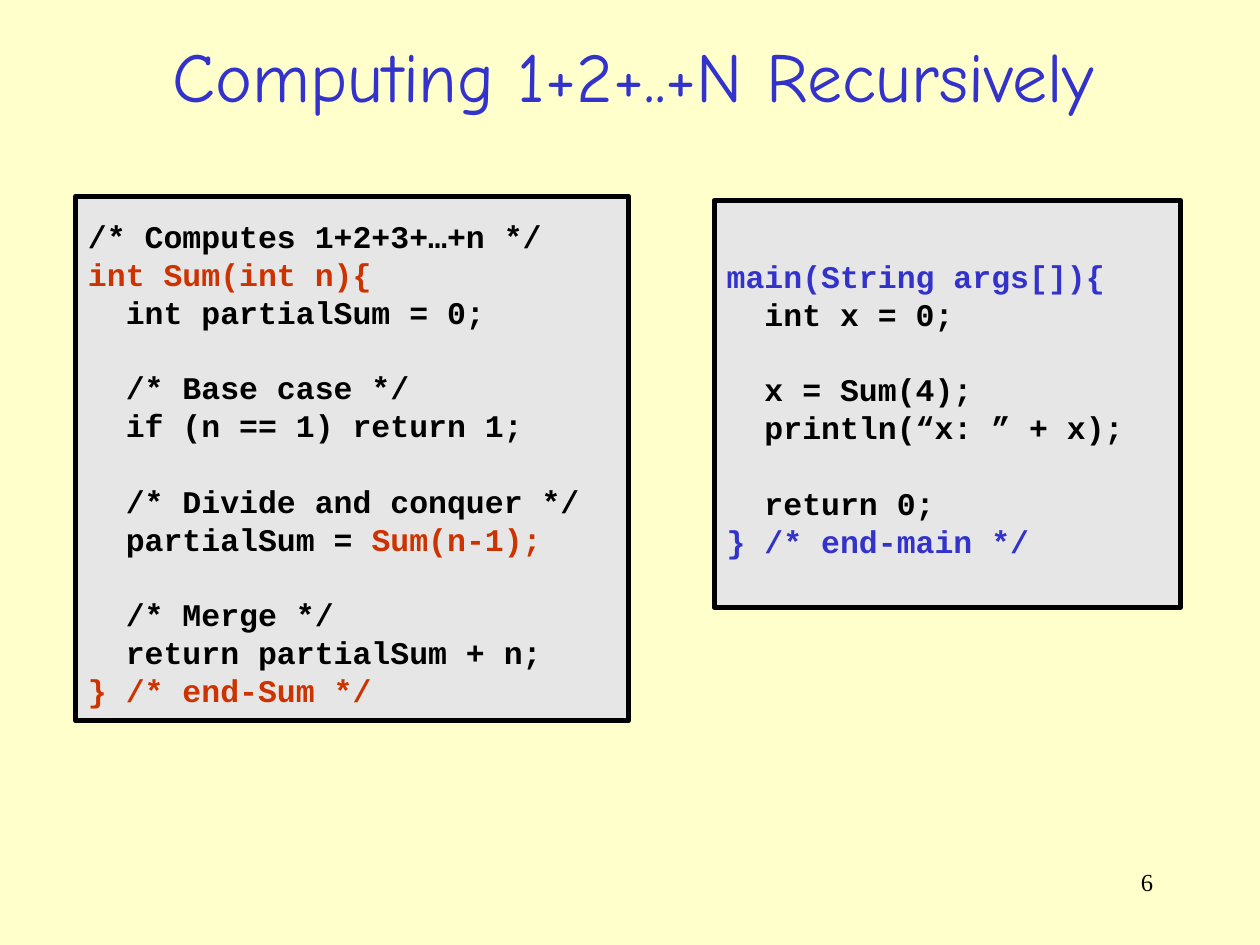
from pptx import Presentation
from pptx import util as u
from pptx.dml.color import RGBColor
from pptx.enum import shapes, text

COLORS = {
    "page": "FFFFCC",
    "panel": "E6E6E6",
    "black": "000000",
    "blue": "3333CC",
    "red": "CC3300",
}
LINE_HEIGHT = 21.6

# Each code line is a list of (words, colour) spans; an empty list is a blank line.
SUM_CODE = [
    [("/* Computes 1+2+3+…+n */", "black")],
    [("int Sum(int n){", "red")],
    [("  int partialSum = 0;", "black")],
    [],
    [("  /* Base case */", "black")],
    [("  if (n == 1) return 1;", "black")],
    [],
    [("  /* Divide and conquer */", "black")],
    [("  partialSum = ", "black"), ("Sum(n-1);", "red")],
    [],
    [("  /* Merge */", "black")],
    [("  return partialSum + n;", "black")],
    [("} /* end-Sum */", "red")],
]
MAIN_CODE = [
    [("main(String args[]){", "blue")],
    [("  int x = 0;", "black")],
    [],
    [("  x = Sum(4);", "black")],
    [("  println(“x: ” + x);", "black")],
    [],
    [("  return 0;", "black")],
    [("} /* end-main */", "blue")],
]


def color(name):
    return RGBColor.from_string(COLORS[name])


def add_span(para, words, *, font, size, ink="black", bold=False):
    span = para.add_run()
    span.text = words
    span.font.name = font
    span.font.size = u.Pt(size)
    span.font.bold = bold
    span.font.color.rgb = color(ink)


class SlideWriter:
    """Holds the text styles and the slide being filled."""

    title_style = {"font": "Comic Neue", "size": 40, "ink": "blue"}
    code_style = {"font": "Courier New", "size": 18, "bold": True}
    number_style = {"font": "Times New Roman", "size": 14}

    def __init__(self, deck):
        self.page = deck.slides.add_slide(deck.slide_layouts[5])
        self.page.background.fill.solid()
        self.page.background.fill.fore_color.rgb = color("page")

    def title(self, words, left, top, width, height):
        box = self.page.shapes.title
        box.left, box.top = u.Pt(left), u.Pt(top)
        box.width, box.height = u.Pt(width), u.Pt(height)
        frame = box.text_frame
        frame.auto_size = text.MSO_AUTO_SIZE.NONE
        frame.vertical_anchor = text.MSO_ANCHOR.MIDDLE
        para = frame.paragraphs[0]
        para.alignment = text.PP_ALIGN.CENTER
        add_span(para, words, **self.title_style)

    def code_panel(self, lines, left, top, width, height):
        """Draw framed code; blank lines become space before the next line."""
        box = self.page.shapes.add_shape(
            shapes.MSO_SHAPE.RECTANGLE,
            u.Pt(left), u.Pt(top), u.Pt(width), u.Pt(height))
        box.shadow.inherit = False
        box.fill.solid()
        box.fill.fore_color.rgb = color("panel")
        box.line.color.rgb = color("black")
        box.line.width = u.Pt(3)
        frame = box.text_frame
        frame.word_wrap = True
        frame.vertical_anchor = text.MSO_ANCHOR.MIDDLE
        frame.margin_top = u.Pt(8.6)

        para, gap = frame.paragraphs[0], 0
        for number, spans in enumerate(lines):
            if not spans:
                gap += LINE_HEIGHT
                continue
            if number:
                para = frame.add_paragraph()
            para.alignment = text.PP_ALIGN.LEFT
            para.line_spacing = u.Pt(LINE_HEIGHT)
            if gap:
                para.space_before = u.Pt(gap)
            gap = 0
            for words, ink in spans:
                add_span(para, words, ink=ink, **self.code_style)

    def page_number(self, number, left, top, width, height):
        box = self.page.shapes.add_textbox(
            u.Pt(left), u.Pt(top), u.Pt(width), u.Pt(height))
        box.text_frame.word_wrap = True
        para = box.text_frame.paragraphs[0]
        para.alignment = text.PP_ALIGN.RIGHT
        add_span(para, str(number), **self.number_style)


def main():
    deck = Presentation()
    deck.slide_width, deck.slide_height = u.Pt(720), u.Pt(540)
    writer = SlideWriter(deck)
    writer.page_number(6, 516, 492, 150, 36)
    writer.title("Computing 1+2+..+N Recursively", 17.3, 17.3, 689, 50.4)
    writer.code_panel(SUM_CODE, 43.2, 112.3, 316, 299.5)
    writer.code_panel(MAIN_CODE, 408.2, 114.5, 266.4, 232.6)
    deck.save("out.pptx")


if __name__ == "__main__":
    main()
